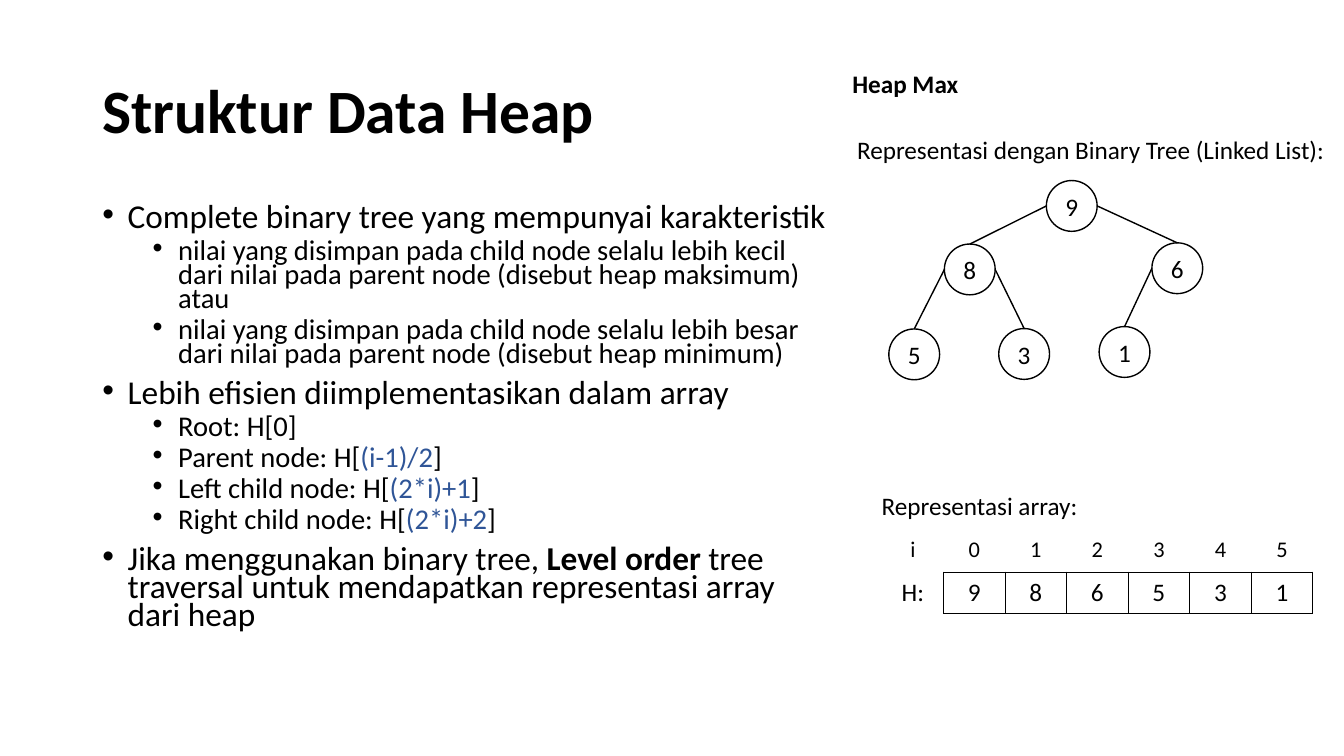
import pptx
import pptx.dml.color
import pptx.enum.shapes
import pptx.enum.text
import pptx.oxml
import pptx.oxml.ns
import pptx.util
from pptx.util import Cm

FONT = "Calibri"
BLACK, WHITE, BLUE = "000000", "FFFFFF", "2F5597"
LINE_WIDTH = 1

# Each label: text, left, top, width, height (cm), size, bold, anchor
LABELS = [
    ("Struktur Data Heap", 2.33, 1.01, 29.21, 3.68, 44, True, "MIDDLE"),
    ("Heap Max", 21.23, 1.6, 3.2, 1.03, 18, True, "TOP"),
    ("Representasi dengan Binary Tree (Linked List):", 21.35, 3.26, 12.42, 1.03, 18, False, "TOP"),
    ("Representasi array:", 21.97, 12.24, 5.64, 1.03, 18, False, "TOP"),
]

# Each point: level, then runs of text, colour, bold
POINTS = [
    (0, [("Complete binary tree yang mempunyai karakteristik", BLACK, False)]),
    (1, [("nilai yang disimpan pada child node selalu lebih kecil dari nilai "
          "pada parent node (disebut heap maksimum) atau", BLACK, False)]),
    (1, [("nilai yang disimpan pada child node selalu lebih besar dari nilai "
          "pada parent node (disebut heap minimum)", BLACK, False)]),
    (0, [("Lebih efisien diimplementasikan dalam array", BLACK, False)]),
    (1, [("Root: H[0]", BLACK, False)]),
    (1, [("Parent node: H[", BLACK, False), ("(i-1)/2", BLUE, False), ("]", BLACK, False)]),
    (1, [("Left child node: H[", BLACK, False), ("(2*i)+1", BLUE, False), ("]", BLACK, False)]),
    (1, [("Right child node: H[", BLACK, False), ("(2*i)+2", BLUE, False), ("]", BLACK, False)]),
    (0, [("Jika menggunakan binary tree, ", BLACK, False), ("Level order", BLACK, True),
         (" tree traversal untuk mendapatkan representasi array dari heap", BLACK, False)]),
]
# Each level: size, space before (pt), text indent (cm)
LEVELS = [(23.8, 10, 0.64), (20.4, 5, 1.91)]
HANGING = 0.64

HEAP = [9, 8, 6, 5, 3, 1]
NODE_CORNERS = [(26.37, 4.55), (23.8, 6.15), (29.03, 6.12),
                (22.4, 8.29), (25.17, 8.28), (27.7, 8.23)]
NODE_SIZE = 1.28

TABLE_LEFT, TABLE_TOP = 22.23, 13.39
COLUMN_WIDTH, ROW_HEIGHT = 1.55, 1.03


def rgb(colour):
    return pptx.dml.color.RGBColor.from_string(colour)


def add_run(paragraph, text, size, colour=BLACK, bold=False):
    run = paragraph.add_run()
    run.text = text
    run.font.name = FONT
    run.font.size = pptx.util.Pt(size)
    run.font.bold = bold
    run.font.color.rgb = rgb(colour)


def add_label(slide, text, left, top, width, height, size, bold, anchor):
    box = slide.shapes.add_textbox(Cm(left), Cm(top), Cm(width), Cm(height))
    frame = box.text_frame
    frame.word_wrap = anchor == "MIDDLE"
    frame.vertical_anchor = pptx.enum.text.MSO_ANCHOR[anchor]
    paragraph = frame.paragraphs[0]
    paragraph.line_spacing = 0.9 if anchor == "MIDDLE" else 1.0
    add_run(paragraph, text, size, bold=bold)


def add_bullet(paragraph, indent):
    properties = paragraph._p.get_or_add_pPr()
    properties.set("marL", str(Cm(indent)))
    properties.set("indent", str(-Cm(HANGING)))
    for tag, name, value in (("buFont", "typeface", "Arial"), ("buChar", "char", "•")):
        element = pptx.oxml.parse_xml(
            f'<a:{tag} {pptx.oxml.ns.nsdecls("a")} {name}="{value}"/>')
        properties.append(element)


def add_points(slide):
    box = slide.shapes.add_textbox(Cm(2.33), Cm(5.07), Cm(18.78), Cm(12.09))
    box.fill.solid()
    box.fill.fore_color.rgb = rgb(WHITE)
    frame = box.text_frame
    frame.word_wrap = True
    for number, (level, runs) in enumerate(POINTS):
        paragraph = frame.add_paragraph() if number else frame.paragraphs[0]
        size, space_before, indent = LEVELS[level]
        add_bullet(paragraph, indent)
        paragraph.level = level
        paragraph.line_spacing = 0.7
        paragraph.space_before = pptx.util.Pt(space_before if number else 0)
        for text, colour, bold in runs:
            add_run(paragraph, text, size, colour, bold)


def add_node(slide, value, left, top):
    node = slide.shapes.add_shape(pptx.enum.shapes.MSO_SHAPE.OVAL,
                                  Cm(left), Cm(top), Cm(NODE_SIZE), Cm(NODE_SIZE))
    node.shadow.inherit = False
    node.fill.solid()
    node.fill.fore_color.rgb = rgb(WHITE)
    node.line.color.rgb = rgb(BLACK)
    node.line.width = pptx.util.Pt(LINE_WIDTH)
    frame = node.text_frame
    frame.margin_left = frame.margin_right = frame.margin_top = frame.margin_bottom = 0
    frame.vertical_anchor = pptx.enum.text.MSO_ANCHOR.MIDDLE
    frame.paragraphs[0].alignment = pptx.enum.text.PP_ALIGN.CENTER
    add_run(frame.paragraphs[0], str(value), 18)


def add_edge(slide, parent_corner, child_corner, is_left_child):
    """Join the side of the parent node to the top of the child node."""
    parent_left, parent_top = parent_corner
    child_left, child_top = child_corner
    edge = slide.shapes.add_connector(
        pptx.enum.shapes.MSO_CONNECTOR.STRAIGHT,
        Cm(parent_left if is_left_child else parent_left + NODE_SIZE),
        Cm(parent_top + NODE_SIZE / 2),
        Cm(child_left + NODE_SIZE / 2), Cm(child_top))
    edge.line.color.rgb = rgb(BLACK)
    edge.line.width = pptx.util.Pt(LINE_WIDTH)
    edge._element.spPr.append(
        pptx.oxml.parse_xml(f'<a:effectLst {pptx.oxml.ns.nsdecls("a")}/>'))


def add_tree(slide):
    for value, corner in zip(HEAP, NODE_CORNERS):
        add_node(slide, value, *corner)
    for index in range(1, len(HEAP)):
        parent = (index - 1) // 2
        add_edge(slide, NODE_CORNERS[parent], NODE_CORNERS[index], index % 2 == 1)


def set_borders(cell, black_sides):
    properties = cell._tc.get_or_add_tcPr()
    for side in "LRTB":
        paint = (f'<a:solidFill><a:srgbClr val="{BLACK}"/></a:solidFill>'
                 if side in black_sides else "<a:noFill/>")
        properties.append(pptx.oxml.parse_xml(
            f'<a:ln{side} {pptx.oxml.ns.nsdecls("a")} w="{pptx.util.Pt(LINE_WIDTH)}">'
            f'{paint}</a:ln{side}>'))


def add_array(slide):
    rows = [["i", *range(len(HEAP))], ["H:", *HEAP]]
    columns = len(rows[0])
    table = slide.shapes.add_table(len(rows), columns, Cm(TABLE_LEFT), Cm(TABLE_TOP),
                                   Cm(COLUMN_WIDTH * columns),
                                   Cm(ROW_HEIGHT * len(rows))).table
    table.first_row = table.horz_banding = False
    for column in table.columns:
        column.width = Cm(COLUMN_WIDTH)
    for row_number, values in enumerate(rows):
        table.rows[row_number].height = Cm(ROW_HEIGHT)
        for column_number, value in enumerate(values):
            cell = table.cell(row_number, column_number)
            if column_number:
                set_borders(cell, "LRTB" if row_number else "B")
            else:
                set_borders(cell, "R" if row_number else "")
            cell.fill.background()
            paragraph = cell.text_frame.paragraphs[0]
            paragraph.alignment = pptx.enum.text.PP_ALIGN.CENTER
            add_run(paragraph, str(value), 18 if row_number else 16)


def main():
    presentation = pptx.Presentation()
    presentation.slide_width, presentation.slide_height = Cm(33.87), Cm(19.05)
    slide = presentation.slides.add_slide(presentation.slide_layouts[6])
    for label in LABELS:
        add_label(slide, *label)
    add_points(slide)
    add_array(slide)
    add_tree(slide)
    presentation.save("out.pptx")


if __name__ == "__main__":
    main()
